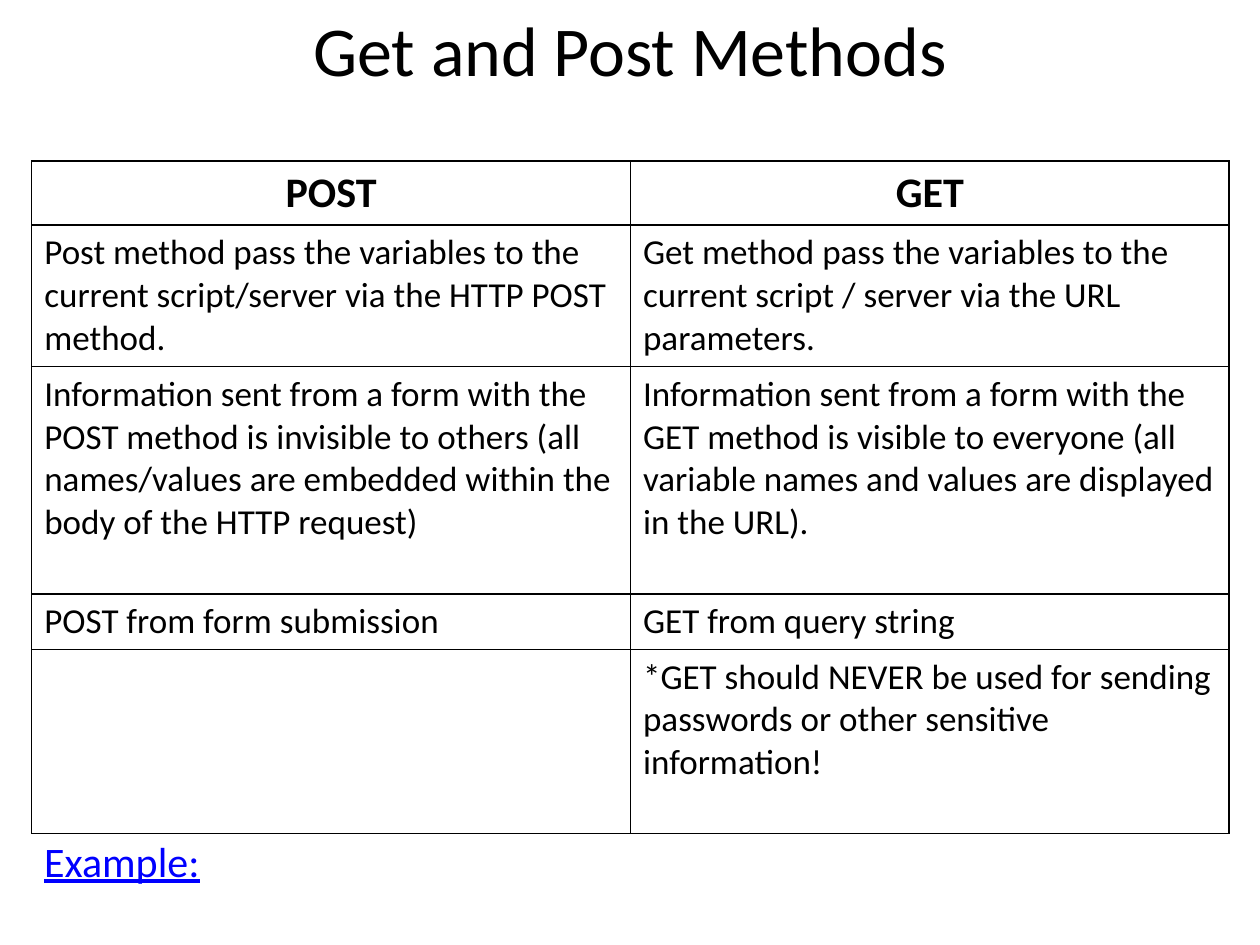
from lxml import etree
from pptx import Presentation
from pptx.dml.color import RGBColor
from pptx.enum import text
from pptx.oxml import ns
from pptx.util import Cm, Pt

COLOURS = {"ink": "000000", "paper": "FFFFFF", "link": "0000FF"}
FONT = "Calibri"
COLUMN_WIDTH = 12.07
ROW_HEIGHTS = [1.29, 2.85, 4.58, 1.12, 3.71]
METHOD_ROWS = [
    ("POST", "GET"),
    (
        "Post method pass the variables to the current script/server via the HTTP POST method.",
        "Get method pass the variables to the current script / server via the URL parameters.",
    ),
    (
        "Information sent from a form with the POST method is invisible to others "
        "(all names/values are embedded within the body of the HTTP request)",
        "Information sent from a form with the GET method is visible to everyone "
        "(all variable names and values are displayed in the URL).",
    ),
    ("POST from form submission", "GET from query string"),
    ("", "*GET should NEVER be used for sending passwords or other sensitive information!"),
]


class SlideBuilder:
    def __init__(self, slide):
        self.slide = slide

    def style(self, paragraph, size, colour="ink", bold=False, underline=False, centred=False):
        paragraph.alignment = text.PP_ALIGN.CENTER if centred else text.PP_ALIGN.LEFT
        font = paragraph.font
        font.name = FONT
        font.size = Pt(size)
        font.bold = bold
        font.underline = underline
        font.color.rgb = RGBColor.from_string(COLOURS[colour])

    def text_box(self, words, left, top, width, height, size, **style):
        shape = self.slide.shapes.add_textbox(Cm(left), Cm(top), Cm(width), Cm(height))
        frame = shape.text_frame
        frame.word_wrap = True
        frame.auto_size = text.MSO_AUTO_SIZE.SHAPE_TO_FIT_TEXT
        paragraph = frame.paragraphs[0]
        paragraph.text = words
        self.style(paragraph, size, **style)

    def border(self, cell, width=1):
        properties = cell._tc.get_or_add_tcPr()
        for index, side in enumerate(("lnL", "lnR", "lnT", "lnB")):
            line = etree.Element(ns.qn(f"a:{side}"), w=str(Pt(width)))
            fill = etree.SubElement(line, ns.qn("a:solidFill"))
            etree.SubElement(fill, ns.qn("a:srgbClr"), val=COLOURS["ink"])
            properties.insert(index, line)

    def table(self, rows, left, top, column_width, row_heights):
        columns = len(rows[0])
        frame = self.slide.shapes.add_table(
            len(rows), columns, Cm(left), Cm(top),
            Cm(column_width * columns), Cm(sum(row_heights)),
        )
        table = frame.table
        for column in table.columns:
            column.width = Cm(column_width)
        for row_index, (row, height) in enumerate(zip(rows, row_heights)):
            table.rows[row_index].height = Cm(height)
            header = row_index == 0
            for column_index, words in enumerate(row):
                cell = table.cell(row_index, column_index)
                cell.text = words
                cell.fill.solid()
                cell.fill.fore_color.rgb = RGBColor.from_string(COLOURS["paper"])
                self.border(cell)
                self.style(cell.text_frame.paragraphs[0], 24 if header else 20,
                           bold=header, centred=header)


def main():
    presentation = Presentation()
    presentation.slide_width = Cm(25.4)
    presentation.slide_height = Cm(19.05)
    builder = SlideBuilder(presentation.slides.add_slide(presentation.slide_layouts[6]))
    builder.table(METHOD_ROWS, 0.64, 3.25, COLUMN_WIDTH, ROW_HEIGHTS)
    builder.text_box("Get and Post Methods", 0.85, 0, 23.7, 1.96, 40, centred=True)
    builder.text_box("Example:", 0.64, 16.71, 7.62, 1.27, 24, colour="link", underline=True)
    presentation.save("out.pptx")


if __name__ == "__main__":
    main()
